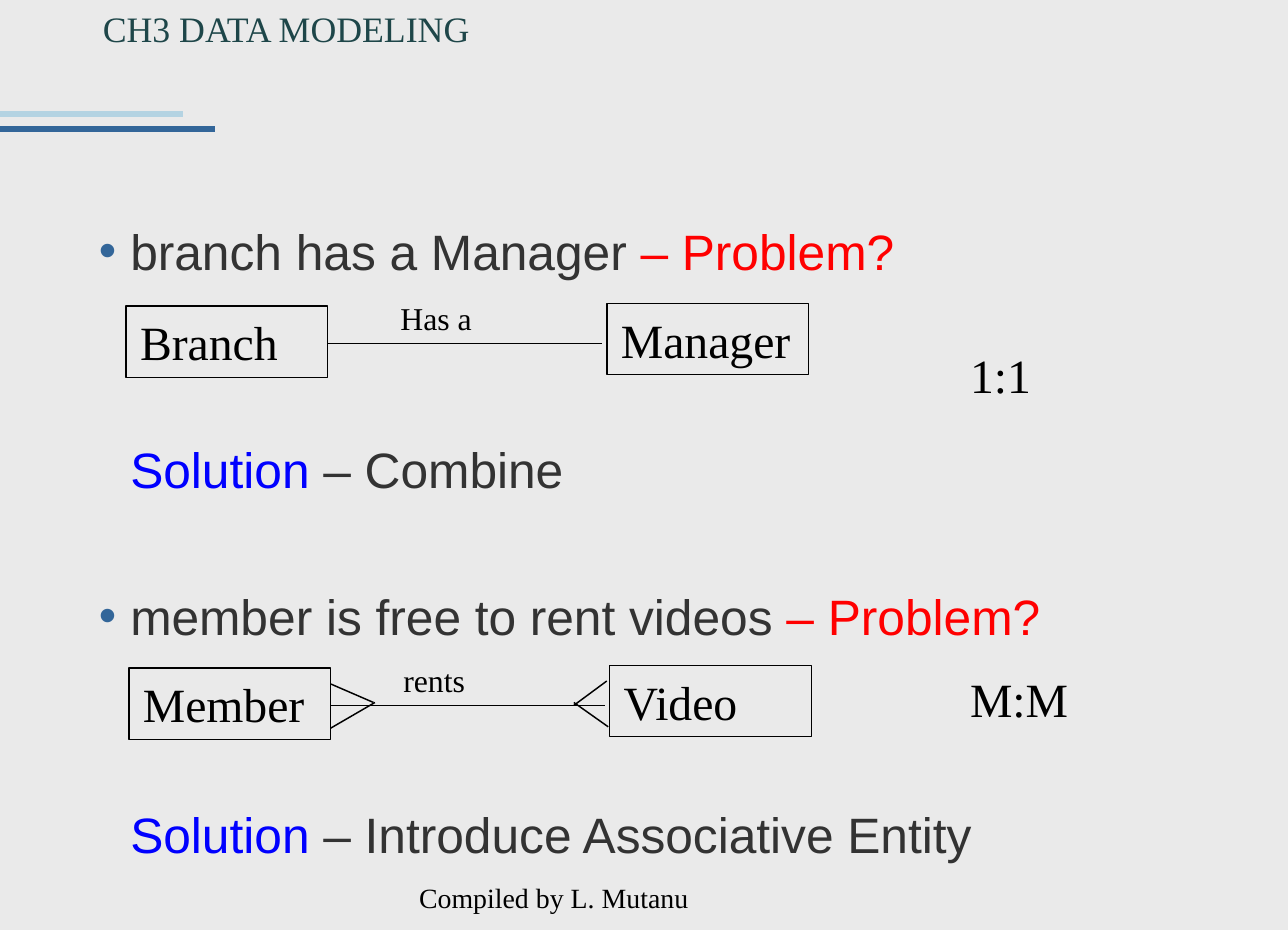
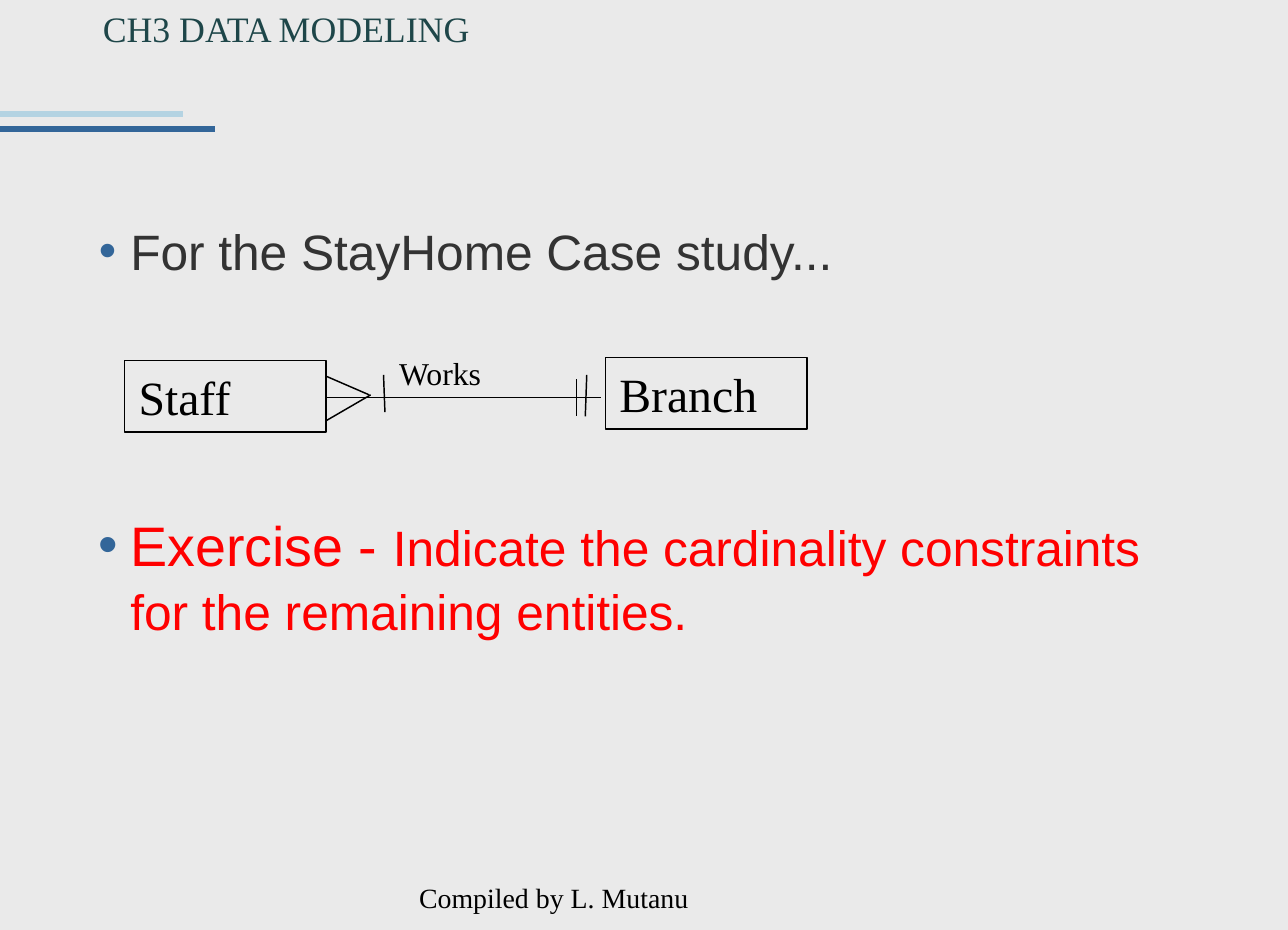
import dataclasses

import lxml.etree
import pptx
import pptx.dml.color
import pptx.enum.shapes
import pptx.enum.text
import pptx.oxml.ns
import pptx.util

PX = 9144
PAGE_SIZE = (900, 650)


@dataclasses.dataclass(frozen=True)
class Theme:
    serif: str = "Times New Roman"
    sans: str = "Arial"
    ground: str = "EAEAEA"
    ink: str = "000000"
    heading: str = "1E4649"
    body: str = "333333"
    problem: str = "FF0000"
    solution: str = "0000FF"
    accent: str = "336699"
    accent_light: str = "B4D3E2"
    heading_size: int = 18
    footer_size: int = 14
    body_size: int = 25
    exercise_size: int = 28
    entity_size: int = 24
    relation_size: int = 16
    rule_width: float = 3
    line_width: float = 0.75
    line_spacing: float = 1.05
    line_height: float = 30.1
    line_pitch: float = 36.2


THEME = Theme()

HEADING = ("CH3 DATA MODELING", (62, 0, 806, 40))
FOOTER = ("Compiled by L. Mutanu", (283, 611, 220, 34))
RULES = [(150, 90, THEME.accent), (128, 80, THEME.accent_light)]

MARKS = {
    "many left": [(171, 24, 141, 11), (172, 24, 141, 42)],
    "many right": [(311, 26, 334, 9), (311, 24, 335, 41)],
    "one left": [(181, 10, 182, 36)],
    "only one right": [(316, 13, 316, 39), (323, 10, 322, 39)],
}

PAGES = [
    {
        "body_height": 456,
        "body": [
            {"bullet": True, "pitches": 0, "spans": [
                ("branch has a Manager ", THEME.body), ("– Problem?", THEME.problem)]},
            {"bullet": False, "pitches": 3, "spans": [
                ("Solution", THEME.solution), (" – Combine", THEME.body)]},
            {"bullet": True, "pitches": 2, "spans": [
                ("member is free to rent videos ", THEME.body), ("– Problem?", THEME.problem)]},
            {"bullet": False, "pitches": 3, "spans": [
                ("Solution", THEME.solution),
                (" – Introduce Associative Entity", THEME.body)]},
        ],
        "relations": [
            {"at": (88, 214), "names": ("Branch", "Has a", "Manager"), "marks": []},
            {"at": (90, 467), "names": ("Member", "rents", "Video"),
             "marks": ["many left", "many right"]},
        ],
        "ratios": [("1:1", (668, 237, 131, 50)), ("M:M", (668, 463, 109, 50))],
    },
    {
        "body_height": 429,
        "body": [
            {"bullet": True, "pitches": 0, "spans": [
                ("For the StayHome Case study...", THEME.body)]},
            {"bullet": True, "pitches": 4, "spans": [
                ("Exercise - ", THEME.problem, THEME.exercise_size),
                ("Indicate the cardinality constraints for the remaining entities.",
                 THEME.problem)]},
        ],
        "relations": [
            {"at": (87, 252), "names": ("Staff", "Works", "Branch"),
             "marks": ["many left", "one left", "only one right"]},
        ],
        "ratios": [],
    },
]


def emu(*lengths):
    return [length * PX for length in lengths]


def rgb(color):
    return pptx.dml.color.RGBColor.from_string(color)


def add_span(para, text, font, size, color):
    span = para.add_run()
    span.text = text
    span.font.name = font
    span.font.size = pptx.util.Pt(size)
    span.font.color.rgb = rgb(color)


def set_insets(frame, left, top, right, bottom):
    frame.word_wrap = True
    frame.vertical_anchor = pptx.enum.text.MSO_ANCHOR.TOP
    frame.margin_left, frame.margin_top, frame.margin_right, frame.margin_bottom = emu(
        left, top, right, bottom)


def add_text(shapes, text, place, *, size, color=THEME.ink, outlined=False):
    if outlined:
        box = shapes.add_shape(pptx.enum.shapes.MSO_SHAPE.RECTANGLE, *emu(*place))
        box.shadow.inherit = False
        box.fill.background()
        box.line.color.rgb = rgb(THEME.ink)
        box.line.width = pptx.util.Pt(THEME.line_width)
    else:
        box = shapes.add_textbox(*emu(*place))
    frame = box.text_frame
    set_insets(frame, 10, 5, 10, 5)
    frame.auto_size = pptx.enum.text.MSO_AUTO_SIZE.SHAPE_TO_FIT_TEXT
    para = frame.paragraphs[0]
    para.alignment = pptx.enum.text.PP_ALIGN.LEFT
    add_span(para, text, THEME.serif, size, color)


def add_line(shapes, ends, color=THEME.ink, width=THEME.line_width):
    line = shapes.add_connector(pptx.enum.shapes.MSO_CONNECTOR.STRAIGHT, *emu(*ends))
    line.line.color.rgb = rgb(color)
    line.line.width = pptx.util.Pt(width)
    properties = line._element.spPr
    lxml.etree.SubElement(properties, pptx.oxml.ns.qn("a:effectLst"))


def indent(para, bullet):
    properties = para._p.get_or_add_pPr()
    properties.set("marL", str(22 * PX))
    properties.set("indent", str(-22 * PX if bullet else 0))
    qn = pptx.oxml.ns.qn
    if bullet:
        color = lxml.etree.SubElement(properties, qn("a:buClr"))
        lxml.etree.SubElement(color, qn("a:srgbClr"), val=THEME.accent)
        lxml.etree.SubElement(properties, qn("a:buFont"), typeface=THEME.sans)
        lxml.etree.SubElement(properties, qn("a:buChar"), char="•")
    else:
        lxml.etree.SubElement(properties, qn("a:buNone"))


def add_body(page, content):
    frame = page.shapes.add_textbox(*emu(60, 144, 795, content["body_height"])).text_frame
    set_insets(frame, 9, 8, 15, 4)
    for index, item in enumerate(content["body"]):
        para = frame.add_paragraph() if index else frame.paragraphs[0]
        indent(para, item["bullet"])
        para.line_spacing = THEME.line_spacing
        if index:
            gap = item["pitches"] * THEME.line_pitch - THEME.line_height
            para.space_before = pptx.util.Pt(gap)
        for text, color, *size in item["spans"]:
            add_span(para, text, THEME.sans, size[0] if size else THEME.body_size, color)


def add_relation(page, relation):
    shapes = page.shapes.add_group_shape().shapes
    left, top = relation["at"]
    first, verb, second = relation["names"]
    add_text(shapes, first, (left, top, 141, 50), size=THEME.entity_size, outlined=True)
    add_text(shapes, second, (left + 336, top - 2, 141, 50),
             size=THEME.entity_size, outlined=True)
    add_text(shapes, verb, (left + 182, top - 10, 91, 37), size=THEME.relation_size)
    strokes = [(141, 26, 333, 26)]
    for mark in relation["marks"]:
        strokes += MARKS[mark]
    for x1, y1, x2, y2 in strokes:
        add_line(shapes, (left + x1, top + y1, left + x2, top + y2))


def add_page(deck, content):
    page = deck.slides.add_slide(deck.slide_layouts[6])
    page.background.fill.solid()
    page.background.fill.fore_color.rgb = rgb(THEME.ground)
    for length, y, color in RULES:
        add_line(page.shapes, (0, y, length, y), color, THEME.rule_width)
    add_text(page.shapes, *FOOTER, size=THEME.footer_size)
    add_text(page.shapes, *HEADING, size=THEME.heading_size, color=THEME.heading)
    add_body(page, content)
    for relation in content["relations"]:
        add_relation(page, relation)
    for text, place in content["ratios"]:
        add_text(page.shapes, text, place, size=THEME.entity_size)


def main():
    deck = pptx.Presentation()
    deck.slide_width, deck.slide_height = emu(*PAGE_SIZE)
    for content in PAGES:
        add_page(deck, content)
    deck.save("out.pptx")


if __name__ == "__main__":
    main()
